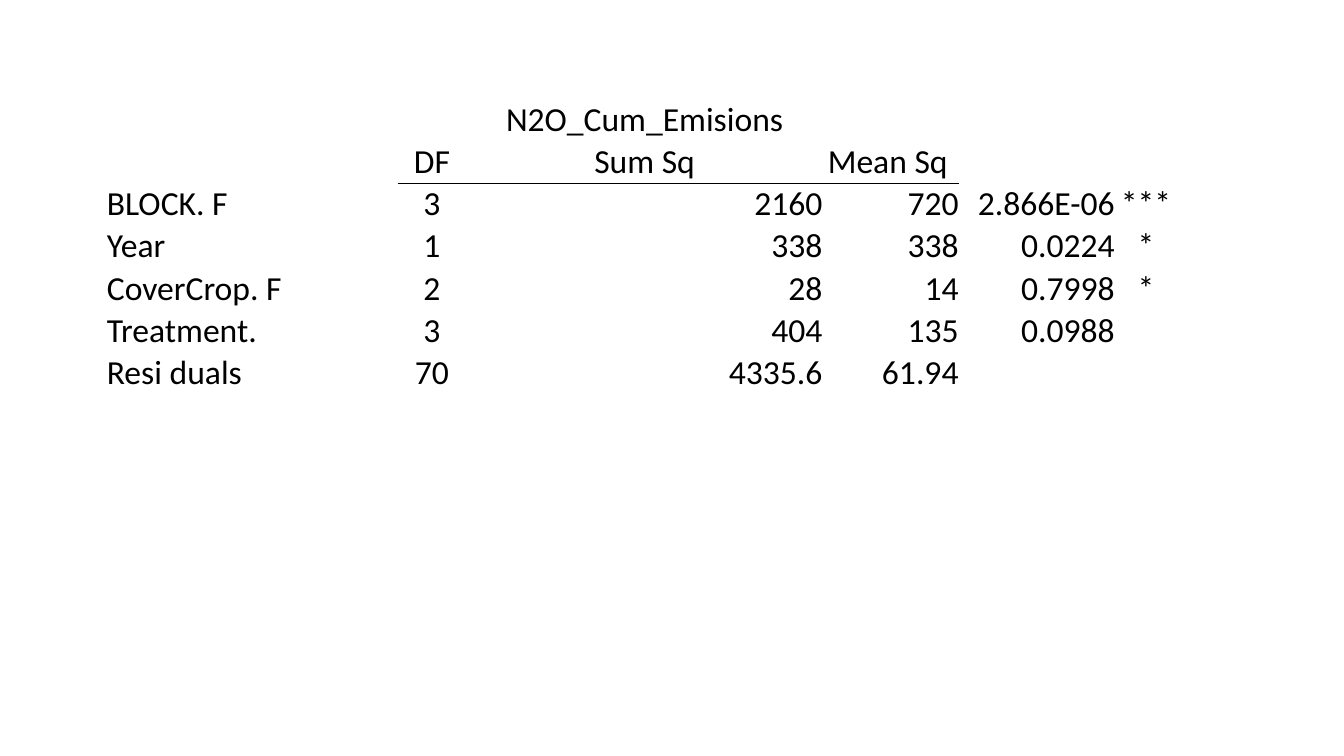
from dataclasses import dataclass

from lxml import etree
from pptx import Presentation
from pptx import util as u
from pptx.dml.color import RGBColor
from pptx.enum import text
from pptx.oxml import ns
from pptx.table import Table, _Cell

BLACK = RGBColor(0, 0, 0)
LEFT, CENTER, RIGHT = text.PP_ALIGN.LEFT, text.PP_ALIGN.CENTER, text.PP_ALIGN.RIGHT
ROW_HEIGHT = 26.64
HEADING_ROWS = 2
RULED_COLUMNS = range(1, 4)
RULE_SIDES = {1: "a:lnB", 2: "a:lnT"}

CELL_FORMAT = {
    "margin_left": u.Pt(0.75),
    "margin_right": u.Pt(0.75),
    "margin_top": u.Pt(0.75),
    "margin_bottom": u.Pt(0),
    "vertical_anchor": text.MSO_ANCHOR.BOTTOM,
}
FONT_FORMAT = {"name": "Calibri", "size": u.Pt(24), "bold": False}
TABLE_FORMAT = {"first_row": False, "horz_banding": False}


@dataclass(frozen=True)
class Column:
    width: float
    align: text.PP_ALIGN


COLUMNS = [
    Column(208.8, LEFT),
    Column(48.24, CENTER),
    Column(255.6, RIGHT),
    Column(97.2, RIGHT),
    Column(111.6, RIGHT),
    Column(43.2, CENTER),
]

ANOVA = [
    ["", "", "N2O_Cum_Emisions", "", "", ""],
    ["", "DF", "Sum Sq", "Mean Sq ", "", ""],
    ["BLOCK. F", "3", "2160", "720", "2.866E-06", "***"],
    ["Year", "1", "338", "338", "0.0224", "*"],
    ["CoverCrop. F", "2", "28", "14", "0.7998", "*"],
    ["Treatment.", "3", "404", "135", "0.0988", ""],
    ["Resi duals", "70", "4335.6", "61.94", "", ""],
]


def apply_format(target: object, values: dict) -> None:
    for name, value in values.items():
        setattr(target, name, value)


def add_rule(cell: _Cell, side: str) -> None:
    properties = cell._tc.get_or_add_tcPr()
    rule = etree.Element(ns.qn(side), w=str(u.Pt(0.5)))
    fill = etree.SubElement(rule, ns.qn("a:solidFill"))
    etree.SubElement(fill, ns.qn("a:srgbClr"), val=str(BLACK))
    properties.insert(0, rule)


def write_cell(cell: _Cell, wording: str, align: text.PP_ALIGN) -> None:
    apply_format(cell, CELL_FORMAT)
    cell.fill.background()
    if wording:
        paragraph = cell.text_frame.paragraphs[0]
        paragraph.alignment = align
        run = paragraph.add_run()
        run.text = wording
        apply_format(run.font, FONT_FORMAT)
        run.font.color.rgb = BLACK


def fill_anova(anova: Table) -> None:
    apply_format(anova, TABLE_FORMAT)
    for index, column in enumerate(COLUMNS):
        anova.columns[index].width = u.Pt(column.width)
    for row, entries in enumerate(ANOVA):
        anova.rows[row].height = u.Pt(ROW_HEIGHT)
        for index, (column, wording) in enumerate(zip(COLUMNS, entries)):
            cell = anova.cell(row, index)
            write_cell(cell, wording, CENTER if row < HEADING_ROWS else column.align)
            if row in RULE_SIDES and index in RULED_COLUMNS:
                add_rule(cell, RULE_SIDES[row])


def main() -> None:
    deck = Presentation()
    deck.slide_width, deck.slide_height = u.Pt(960), u.Pt(540)
    slide = deck.slides.add_slide(deck.slide_layouts[6])
    width = sum(column.width for column in COLUMNS)
    frame = slide.shapes.add_table(
        len(ANOVA), len(COLUMNS),
        u.Pt(75.6), u.Pt(70.56), u.Pt(width), u.Pt(ROW_HEIGHT * len(ANOVA)),
    )
    fill_anova(frame.table)
    deck.save("out.pptx")


if __name__ == "__main__":
    main()
